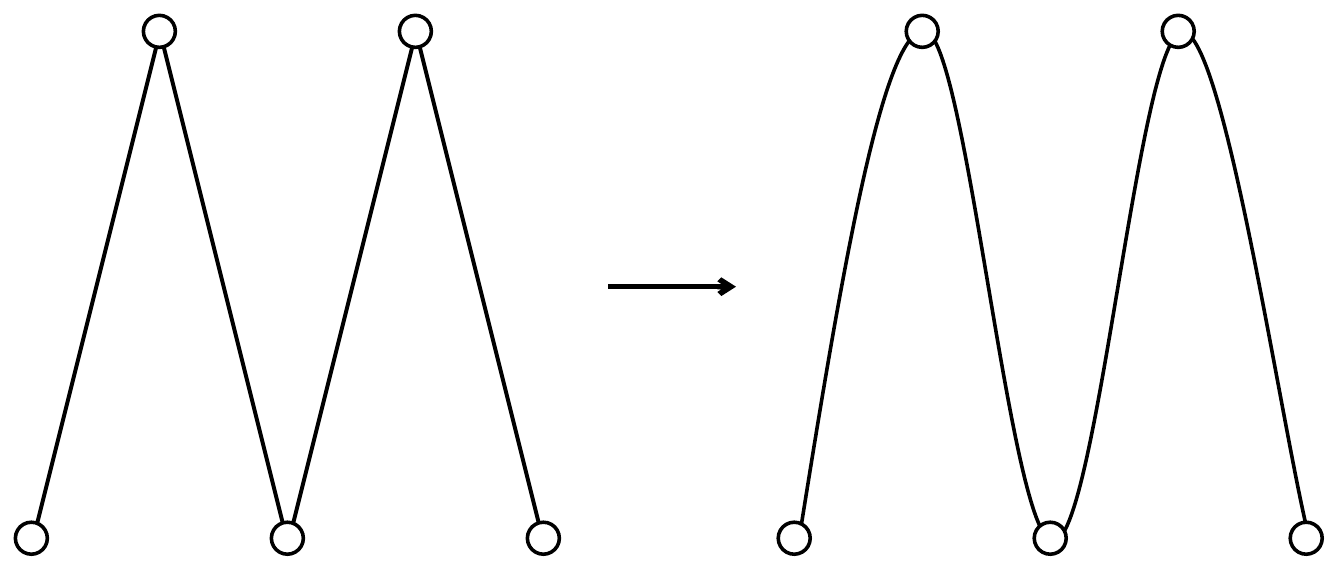
import pptx
import pptx.util
import pptx.dml.color
import pptx.enum.shapes
import pptx.oxml
import pptx.oxml.ns

Inches = pptx.util.Inches
qn = pptx.oxml.ns.qn
BLACK = pptx.dml.color.RGBColor(0, 0, 0)
WHITE = pptx.dml.color.RGBColor(255, 255, 255)

deck = pptx.Presentation()
deck.slide_width = Inches(10.5)
deck.slide_height = Inches(4.5)
slide = deck.slides.add_slide(deck.slide_layouts[6])
shapes = slide.shapes


def draw_line(start, end, width):
    line = shapes.add_connector(
        pptx.enum.shapes.MSO_CONNECTOR.STRAIGHT,
        *[Inches(value) for value in start + end])
    line.line.color.rgb = BLACK
    line.line.width = pptx.util.Pt(width)
    props = line._element.spPr
    props.append(props.makeelement(qn("a:effectLst"), {}))
    return line


def draw_nodes(left):
    for i in range(5):
        top = 0.12 if i % 2 else 4.08
        node = shapes.add_shape(
            pptx.enum.shapes.MSO_SHAPE.OVAL,
            Inches(left + i), Inches(top), Inches(0.25), Inches(0.25))
        node.shadow.inherit = False
        node.fill.solid()
        node.fill.fore_color.rgb = WHITE
        node.line.color.rgb = BLACK
        node.line.width = pptx.util.Pt(2)


points = [
    (6.24, 4.23),
    (6.56, 2.23), (6.89, 0.24), (7.22, 0.24),
    (7.55, 0.24), (7.89, 4.23), (8.23, 4.23),
    (8.57, 4.23), (8.9, 0.24), (9.24, 0.25),
    (9.57, 0.25), (10.03, 3.47), (10.24, 4.25),
]
spots = [(Inches(x), Inches(y)) for x, y in points]
build = shapes.build_freeform(*spots[0])
build.add_line_segments(spots[1:], close=False)
curve = build.convert_to_shape()
curve.shadow.inherit = False
curve.fill.background()
curve.line.color.rgb = BLACK
curve.line.width = pptx.util.Pt(2)

steps = list(curve._element.iter(qn("a:lnTo")))
for i in range(0, len(steps), 3):
    bend = steps[i].makeelement(qn("a:cubicBezTo"), {})
    steps[i].addprevious(bend)
    for step in steps[i:i + 3]:
        bend.append(step[0])
        step.getparent().remove(step)

for i in range(4):
    low, high = (i, i + 1) if i % 2 == 0 else (i + 1, i)
    draw_line((low + 0.25, 4.25), (high + 0.25, 0.25), 2.25)
draw_nodes(0.12)

arrow = draw_line((4.75, 2.24), (5.75, 2.24), 3)
stroke = arrow.line._get_or_add_ln()
stroke.append(stroke.makeelement(qn("a:tailEnd"), {"type": "arrow"}))
draw_nodes(6.08)

deck.save("out.pptx")
